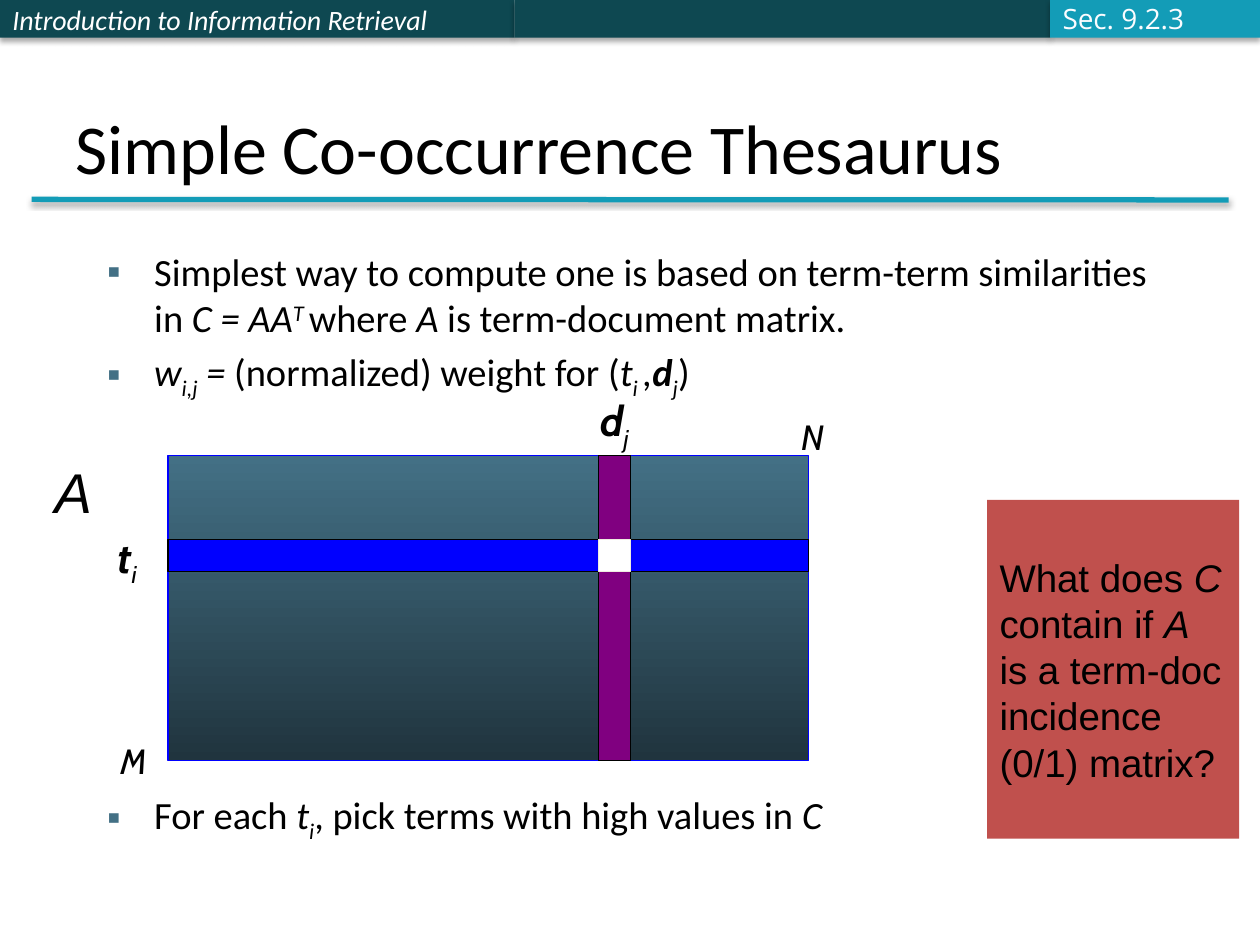
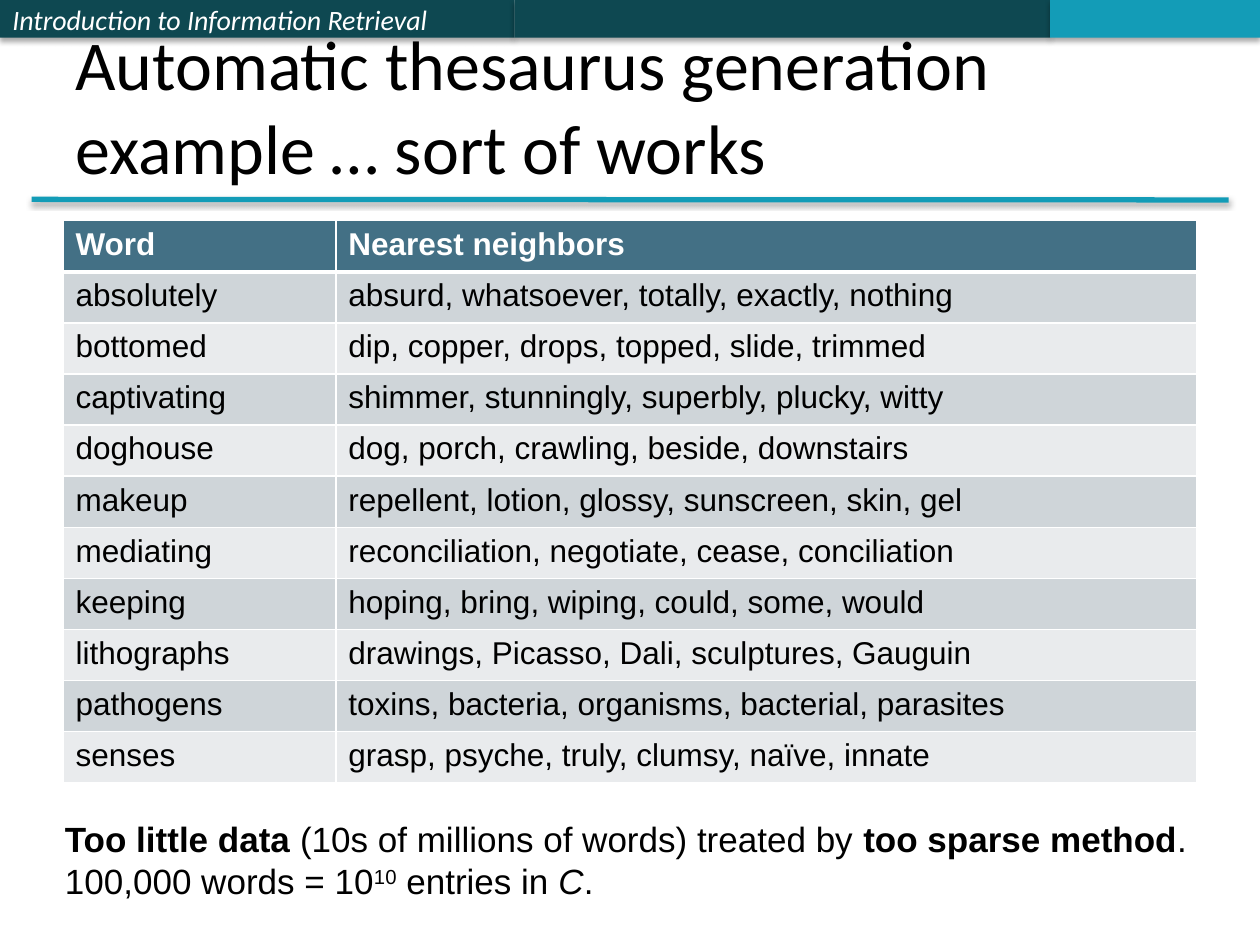
from dataclasses import dataclass
from typing import NamedTuple, Optional, Sequence

import lxml.etree
import pptx
import pptx.dml.color
import pptx.enum.shapes
import pptx.enum.text
import pptx.oxml.ns
import pptx.shapes.autoshape
import pptx.slide
import pptx.table
import pptx.text.text
import pptx.util

Cm = pptx.util.Cm
Pt = pptx.util.Pt
RGBColor = pptx.dml.color.RGBColor
Anchor = pptx.enum.text.MSO_ANCHOR
qn = pptx.oxml.ns.qn

BLACK = RGBColor(0x00, 0x00, 0x00)
WHITE = RGBColor(0xFF, 0xFF, 0xFF)
DARK_TEAL = RGBColor(0x0E, 0x48, 0x51)
TEAL = RGBColor(0x13, 0x9C, 0xB7)
SLATE = RGBColor(0x43, 0x70, 0x85)
DARK_SLATE = RGBColor(0x20, 0x34, 0x3E)
BLUE = RGBColor(0x00, 0x00, 0xFF)
PURPLE = RGBColor(0x80, 0x00, 0x80)
CREAM = RGBColor(0xEE, 0xEC, 0xE1)
RED = RGBColor(0xC0, 0x50, 0x4D)
SECTION_WHITE = RGBColor(0xFB, 0xFC, 0xFF)
ROW_FILLS = (RGBColor(0xCF, 0xD5, 0xD9), RGBColor(0xE9, 0xEB, 0xED))

SUPERSCRIPT = 30
SUBSCRIPT = -25


class Box(NamedTuple):
    """Left, top, width and height in centimetres."""
    left: float
    top: float
    width: float
    height: float

    def lengths(self) -> list[pptx.util.Length]:
        return [Cm(value) for value in self]


class Run(NamedTuple):
    text: str
    italic: bool = False
    bold: bool = False
    baseline: int = 0


@dataclass(frozen=True)
class Rectangle:
    box: Box
    fill: RGBColor
    line: Optional[RGBColor] = None
    fill_end: Optional[RGBColor] = None
    shadow: bool = False


@dataclass(frozen=True)
class Label:
    box: Box
    runs: tuple[Run, ...]
    size: int
    font: str = "Cabin"
    wrap: bool = True


BANDS = (
    Rectangle(Box(0, 0, 10.37, 0.76), DARK_TEAL, shadow=True),
    Rectangle(Box(10.37, 0, 10.8, 0.76), DARK_TEAL, shadow=True),
    Rectangle(Box(21.17, 0, 4.23, 0.76), TEAL, shadow=True),
)

MATRIX = Box(3.39, 9.19, 12.91, 6.14)
TERM_TOP, DOCUMENT_LEFT, STRIPE = 10.88, 12.07, 0.64
MATRIX_PARTS = (
    Rectangle(MATRIX, SLATE, BLUE, fill_end=DARK_SLATE),
    Rectangle(Box(MATRIX.left, TERM_TOP, MATRIX.width, STRIPE), BLUE, BLACK),
    Rectangle(Box(DOCUMENT_LEFT, MATRIX.top, STRIPE, MATRIX.height), PURPLE, BLACK),
    Rectangle(Box(DOCUMENT_LEFT, TERM_TOP, STRIPE, STRIPE), WHITE, CREAM),
)
MATRIX_LABELS = (
    Label(Box(2.12, 10.58, 1.91, 1.27),
          (Run("t", True, True), Run("i", True, baseline=SUBSCRIPT)), 24),
    Label(Box(11.85, 7.83, 1.91, 1.27),
          (Run("d", True, True), Run("j", True, baseline=SUBSCRIPT)), 24),
    Label(Box(15.9, 8.26, 1.91, 1.1), (Run("N", True),), 20),
    Label(Box(2.18, 14.79, 1.91, 1.1), (Run("M", True),), 20),
    Label(Box(0.85, 9.1, 1.26, 1.62), (Run("A", True),), 32, "Arial", wrap=False),
)

METHOD_BULLETS = (
    (Run("Simplest way to compute one is based on term-term similarities in "),
     Run("C = AA", True), Run("T ", True, baseline=SUPERSCRIPT), Run("where "),
     Run("A", True), Run(" is term-document matrix.")),
    (Run("w", True), Run("i,j", True, baseline=SUBSCRIPT), Run(" = ", True),
     Run("(normalized) weight for ("), Run("t", True),
     Run("i ", True, baseline=SUBSCRIPT), Run(",", True), Run("d", True, True),
     Run("j", True, baseline=SUBSCRIPT), Run(")")),
    (Run("For each "), Run("t", True), Run("i", True, baseline=SUBSCRIPT),
     Run(", pick terms with high values in "), Run("C", True)),
)
QUESTION = (Run("What does "), Run("C", True), Run(" contain if "), Run("A", True),
            Run(" is a term-doc incidence (0/1) matrix?"))

NEIGHBORS = (
    ("Word", "Nearest neighbors"),
    ("absolutely", "absurd, whatsoever, totally, exactly, nothing"),
    ("bottomed", "dip, copper, drops, topped, slide, trimmed"),
    ("captivating", "shimmer, stunningly, superbly, plucky, witty"),
    ("doghouse", "dog, porch, crawling, beside, downstairs"),
    ("makeup", "repellent, lotion, glossy, sunscreen, skin, gel"),
    ("mediating", "reconciliation, negotiate, cease, conciliation"),
    ("keeping", "hoping, bring, wiping, could, some, would"),
    ("lithographs", "drawings, Picasso, Dali, sculptures, Gauguin"),
    ("pathogens", "toxins, bacteria, organisms, bacterial, parasites"),
    ("senses", "grasp, psyche, truly, clumsy, naïve, innate"),
)
SPARSITY_NOTE = (
    (Run("Too little data ", bold=True), Run("(10s of millions of words) treated by "),
     Run("too sparse method", bold=True), Run(".")),
    (Run("100,000 words = 10"), Run("10", baseline=SUPERSCRIPT),
     Run(" entries in "), Run("C", True), Run(".")),
)


def add_bullet(paragraph: pptx.text.text._Paragraph) -> None:
    properties = paragraph._p.get_or_add_pPr()
    properties.set("marL", str(Cm(0.95)))
    properties.set("indent", str(-Cm(0.95)))
    color = lxml.etree.SubElement(properties, qn("a:buClr"))
    lxml.etree.SubElement(color, qn("a:srgbClr"), val=str(SLATE))
    lxml.etree.SubElement(properties, qn("a:buFont"), typeface="Arial")
    lxml.etree.SubElement(properties, qn("a:buChar"), char="▪")


def write_text(frame: pptx.text.text.TextFrame, paragraphs: Sequence[Sequence[Run]], *,
               size: float, font: str = "Arial", color: RGBColor = BLACK,
               anchor: Anchor = Anchor.TOP, wrap: bool = True, bullets: bool = False,
               spaces_before: Sequence[float] = ()) -> None:
    frame.word_wrap = wrap
    frame.vertical_anchor = anchor
    if not wrap:
        frame.auto_size = pptx.enum.text.MSO_AUTO_SIZE.SHAPE_TO_FIT_TEXT
    for index, runs in enumerate(paragraphs):
        paragraph = frame.add_paragraph() if index else frame.paragraphs[0]
        paragraph.alignment = pptx.enum.text.PP_ALIGN.LEFT
        if bullets:
            add_bullet(paragraph)
        if spaces_before:
            paragraph.space_before = Pt(spaces_before[index])
        for part in runs:
            run = paragraph.add_run()
            run.text = part.text
            run.font.size = Pt(size)
            run.font.name = font
            run.font.color.rgb = color
            run.font.bold = part.bold
            run.font.italic = part.italic
            if part.baseline:
                run.font._element.set("baseline", str(part.baseline * 1000))


def add_text(slide: pptx.slide.Slide, box: Box,
             paragraphs: Sequence[Sequence[Run]], **text_format) -> None:
    write_text(slide.shapes.add_textbox(*box.lengths()).text_frame,
               paragraphs, **text_format)


def set_shadow(properties: lxml.etree._Element, opacity: int, distance: float) -> None:
    """Put a soft downward shadow in the effect list of the shape properties."""
    effects = properties.find(qn("a:effectLst"))
    if effects is None:
        effects = lxml.etree.SubElement(properties, qn("a:effectLst"))
    shadow = lxml.etree.SubElement(
        effects, qn("a:outerShdw"), blurRad=str(Pt(3.1)), dist=str(Pt(distance)),
        dir="5400000", rotWithShape="0")
    color = lxml.etree.SubElement(shadow, qn("a:srgbClr"), val=str(BLACK))
    lxml.etree.SubElement(color, qn("a:alpha"), val=str(opacity * 1000))


def add_rectangle(slide: pptx.slide.Slide,
                  rectangle: Rectangle) -> pptx.shapes.autoshape.Shape:
    shape = slide.shapes.add_shape(
        pptx.enum.shapes.MSO_SHAPE.RECTANGLE, *rectangle.box.lengths())
    shape.shadow.inherit = False
    if rectangle.fill_end is None:
        shape.fill.solid()
        shape.fill.fore_color.rgb = rectangle.fill
    else:
        shape.fill.gradient()
        shape.fill.gradient_angle = 270
        stops = shape.fill.gradient_stops
        for stop, color in zip(stops, (rectangle.fill, rectangle.fill_end)):
            stop.color.rgb = color
    if rectangle.line is None:
        shape.line.fill.background()
    else:
        shape.line.color.rgb = rectangle.line
        shape.line.width = Pt(0.75)
    if rectangle.shadow:
        set_shadow(shape._element.spPr, 35, 1.8)
    return shape


def add_titled_slide(presentation, title: str) -> pptx.slide.Slide:
    """Add a blank slide with the course bands, the title and the rule below it."""
    slide = presentation.slides.add_slide(presentation.slide_layouts[6])
    course_band = [add_rectangle(slide, band) for band in BANDS][0]
    write_text(course_band.text_frame, [[Run("Introduction to Information Retrieval", True)]],
               size=16, font="Calibri", color=WHITE, anchor=Anchor.MIDDLE)
    rule = slide.shapes.add_connector(
        pptx.enum.shapes.MSO_CONNECTOR.STRAIGHT, Cm(0.64), Cm(4.02), Cm(24.77), Cm(4.03))
    rule.line.color.rgb = TEAL
    rule.line.width = Pt(3)
    set_shadow(rule._element.spPr, 38, 1.6)
    add_text(slide, Box(1.27, 0.76, 22.86, 3.17), [[Run(title)]],
             size=40, font="Calibri", anchor=Anchor.BOTTOM)
    return slide


def set_cell_borders(cell: pptx.table._Cell, bottom: float, top: float) -> None:
    properties = cell._tc.get_or_add_tcPr()
    widths = {"a:lnL": 1, "a:lnR": 1, "a:lnT": top, "a:lnB": bottom}
    for index, (tag, width) in enumerate(widths.items()):
        line = lxml.etree.Element(qn(tag), w=str(Pt(width)))
        fill = lxml.etree.SubElement(line, qn("a:solidFill"))
        lxml.etree.SubElement(fill, qn("a:srgbClr"), val=str(WHITE))
        properties.insert(index, line)


def add_neighbor_table(slide: pptx.slide.Slide) -> None:
    row_height = 1.03
    box = Box(1.27, 4.45, 22.86, row_height * len(NEIGHBORS))
    table = slide.shapes.add_table(len(NEIGHBORS), 2, *box.lengths()).table
    table.horz_banding = False
    for column, width in zip(table.columns, (5.5, 17.36)):
        column.width = Cm(width)
    for row_index, texts in enumerate(NEIGHBORS):
        table.rows[row_index].height = Cm(row_height)
        header = row_index == 0
        for column_index, text in enumerate(texts):
            cell = table.cell(row_index, column_index)
            cell.fill.solid()
            cell.fill.fore_color.rgb = SLATE if header else ROW_FILLS[(row_index - 1) % 2]
            write_text(cell.text_frame, [[Run(text, bold=header)]],
                       size=18, color=WHITE if header else BLACK)
            set_cell_borders(cell, bottom=3 if header else 1, top=3 if row_index == 1 else 1)


def build_cooccurrence_slide(presentation) -> None:
    slide = add_titled_slide(presentation, "Simple Co-occurrence Thesaurus")
    add_text(slide, Box(1.91, 4.88, 21.59, 12.3), METHOD_BULLETS, size=22,
             font="Calibri", bullets=True, spaces_before=(0, 4.4, 223))
    for part in MATRIX_PARTS:
        add_rectangle(slide, part)
    for label in MATRIX_LABELS:
        add_text(slide, label.box, [label.runs], size=label.size, font=label.font,
                 wrap=label.wrap)
    question = add_rectangle(slide, Rectangle(Box(19.9, 10.08, 5.08, 6.83), RED))
    write_text(question.text_frame, [QUESTION], size=22, anchor=Anchor.MIDDLE)
    add_text(slide, Box(21.17, -0.1, 3.25, 0.94), [[Run("Sec. 9.2.3")]], size=16,
             font="Open Sans", color=SECTION_WHITE, anchor=Anchor.MIDDLE, wrap=False)


def build_example_slide(presentation) -> None:
    slide = add_titled_slide(
        presentation, "Automatic thesaurus generation example … sort of works")
    add_neighbor_table(slide)
    add_text(slide, Box(1.06, 16.36, 23.27, 1.96), SPARSITY_NOTE, size=20, wrap=False)


def main() -> None:
    presentation = pptx.Presentation()
    presentation.slide_width = Cm(25.4)
    presentation.slide_height = Cm(19.05)
    build_cooccurrence_slide(presentation)
    build_example_slide(presentation)
    presentation.save("out.pptx")


if __name__ == "__main__":
    main()
